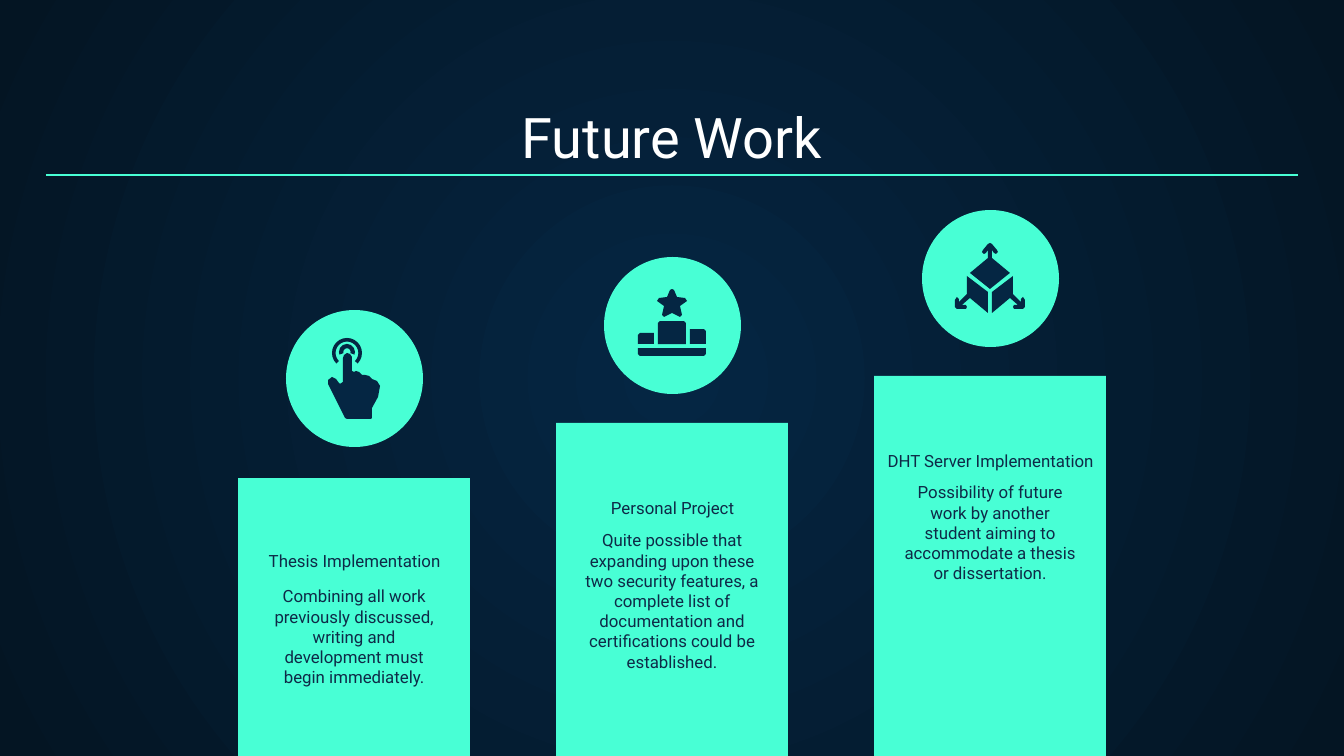
"""Build the Future Work slide: three rising bars, each topped by an icon."""
from dataclasses import dataclass

from lxml.etree import SubElement
from pptx import Presentation
from pptx.dml.color import RGBColor
from pptx.enum.shapes import MSO_CONNECTOR, MSO_SHAPE
from pptx.enum.text import MSO_ANCHOR, MSO_AUTO_SIZE, PP_ALIGN
from pptx.oxml.ns import qn
from pptx.util import Emu, Pt

RECT, OVAL, ARC = MSO_SHAPE.RECTANGLE, MSO_SHAPE.OVAL, MSO_SHAPE.BLOCK_ARC
LINE = MSO_CONNECTOR.STRAIGHT
TOP, BOTTOM = MSO_ANCHOR.TOP, MSO_ANCHOR.BOTTOM
FIXED, CENTER = MSO_AUTO_SIZE.NONE, PP_ALIGN.CENTER
SCALE = 914400 / 134.4
WIDE, HIGH = 1344, 756


@dataclass(frozen=True)
class Theme:
    """Colours, font and type sizes."""
    mint: str = "48FFD5"
    navy: str = "052643"
    night: str = "041523"
    ink: str = "0E2A47"
    white: str = "FFFFFF"
    font: str = "Roboto"
    head: float = 30
    text: float = 9
    rule: float = 0.75


def px(size):
    """Turn pixels into EMU."""
    return Emu(round(size * SCALE))


def rgb(code):
    """Turn a hex code into a colour."""
    return RGBColor.from_string(code)


def apply(target, values):
    """Set each named value on the target."""
    for name, value in values.items():
        setattr(target, name, value)


def mirror(half, both=True):
    """Reflect points in the upright axis, joined to the half if both."""
    other = [(-x, y) for x, y in reversed(half)]
    return half + other if both else other


class Deck:
    """Holds the theme and the current slide."""

    def __init__(self, theme):
        """Open a deck with one title-only slide."""
        self.theme = theme
        self.file = Presentation()
        apply(self.file, {"slide_width": px(WIDE), "slide_height": px(HIGH)})
        self.slide = self.file.slides.add_slide(self.file.slide_layouts[5])
        self.shapes = self.slide.shapes

    def ground(self):
        """Fill the background with a radial gradient."""
        fill = self.slide.background.fill
        fill.gradient()
        for stop, code in zip(fill.gradient_stops, (self.theme.navy, self.theme.night)):
            stop.color.rgb = rgb(code)
        node = self.slide.element.xpath(".//a:lin")[0]
        node.tag = qn("a:path")
        node.attrib.clear()
        node.set("path", "circle")
        SubElement(node, qn("a:fillToRect"), dict.fromkeys("ltrb", "50000"))

    def paint(self, shape, code):
        """Give a shape a flat fill with no line or shadow."""
        shape.fill.solid()
        shape.fill.fore_color.rgb = rgb(code)
        shape.line.fill.background()
        shape.shadow.inherit = False

    def block(self, kind, box, code, home=None, adjust=()):
        """Add a preset shape to the slide or to a group."""
        shape = (home or self.shapes).add_shape(kind, *map(px, box))
        for index, value in enumerate(adjust):
            shape.adjustments[index] = value
        self.paint(shape, code)

    def letter(self, shape, words, size, code, anchor):
        """Put centred words into a shape."""
        frame = shape.text_frame
        apply(frame, {"word_wrap": True, "auto_size": FIXED, "vertical_anchor": anchor,
                      **{f"margin_{side}": px(13) for side in ("left", "top", "right", "bottom")}})
        frame.text = words
        line = frame.paragraphs[0]
        line.alignment = CENTER
        font = line.runs[0].font
        apply(font, {"name": self.theme.font, "size": Pt(size)})
        font.color.rgb = rgb(code)

    def title(self, words, box):
        """Place and fill the title placeholder."""
        shape = self.shapes.title
        apply(shape, dict(zip(("left", "top", "width", "height"), map(px, box))))
        self.letter(shape, words, self.theme.head, self.theme.white, BOTTOM)

    def label(self, words, box, anchor):
        """Add a small text box."""
        shape = self.shapes.add_textbox(*map(px, box))
        self.letter(shape, words, self.theme.text, self.theme.ink, anchor)

    def rule(self, *ends):
        """Add a straight line."""
        line = self.shapes.add_connector(LINE, *map(px, ends))
        line.line.color.rgb = rgb(self.theme.mint)
        line.line.width = Pt(self.theme.rule)
        SubElement(line.element.spPr, qn("a:effectLst"))

    def icon(self, mid, top, forms, arcs):
        """Add a group of outlines and arcs placed from a circle's top."""
        home = self.shapes.add_group_shape().shapes
        for points in forms:
            pen = home.build_freeform(*points[0], scale=SCALE)
            pen.add_line_segments(points[1:], close=True)
            self.paint(pen.convert_to_shape(px(mid), px(top)), self.theme.navy)
        for x, y, size, start, end, thick in arcs:
            self.block(ARC, (mid + x, top + y, size, size), self.theme.navy, home,
                       (start * 0.6, end * 0.6, thick))

    def column(self, mid, bar, disc, body, head, words, forms, arcs=()):
        """Add a bar with its heading, text, disc and icon."""
        self.block(RECT, (mid - 116, bar, 232, 760 - bar), self.theme.mint)
        self.label(words, (mid - 102, body, 204, 74), TOP)
        self.label(head, (mid - 152, disc + 246, 305, 28), BOTTOM)
        self.block(OVAL, (mid - 68, disc, 137, 137), self.theme.mint)
        self.icon(mid, disc, forms, arcs)


HAND = [(-7, 43), (-10, 45), (-11, 48), (-11, 72), (-14, 74), (-15, 73), (-18, 69),
        (-22, 67), (-26, 70), (-26, 74), (-9, 108), (-7, 109), (17, 109), (18, 108),
        (18, 98), (24, 87), (26, 76), (23, 71), (18, 69), (15, 66), (11, 65), (8, 65),
        (5, 62), (2, 61), (0, 62), (-2, 61), (-2, 47), (-4, 44)]
RINGS = [(-22, 28, 30, 135, 45, 0.12), (-15, 34, 16, 160, 20, 0.27)]
STAR = mirror([(0, 32), (-2, 33), (-5, 40), (-13, 41), (-15, 44), (-8, 49),
               (-10, 58), (-8, 60), (0, 56)])
STEPS = [mirror([(-12, 64), (-14, 66), (-14, 87)]),
         [(18, 72), (32, 72), (34, 74), (34, 87), (18, 87)],
         [(-32, 76), (-18, 76), (-18, 87), (-34, 87), (-34, 78)],
         mirror([(-34, 91), (-34, 97), (-32, 99)])]
ROOF = mirror([(0, 33), (-2, 34), (-7, 40), (-8, 42), (-6, 44), (-4, 43),
               (-2, 40), (-2, 48), (-20, 63), (0, 79)])
SIDE = [(23, 66), (2, 82), (2, 103), (20, 88), (28, 95), (24, 95), (23, 97), (24, 99),
        (33, 99), (35, 97), (35, 90), (33, 87), (31, 89), (31, 92), (23, 84)]
COLUMNS = [
    (478, 310, 573, "Thesis Implementation",
     "Combining all work previously discussed, writing and development must begin immediately.",
     [HAND], RINGS),
    (423, 257, 517, "Personal Project",
     "Quite possible that expanding upon these two security features, a complete list of "
     "documentation and certifications could be established.", [STAR, *STEPS]),
    (376, 210, 469, "DHT Server Implementation",
     "Possibility of future work by another student aiming to accommodate a thesis or "
     "dissertation.", [ROOF, SIDE, mirror(SIDE, False)]),
]


def main():
    """Build and save the slide."""
    deck = Deck(Theme())
    deck.ground()
    deck.title("Future Work", (46, 94, 1252, 89))
    for index, column in enumerate(COLUMNS):
        deck.column(WIDE // 2 + (index - 1) * 318, *column)
    deck.rule(46, 175, 1298, 175)
    deck.file.save("out.pptx")


if __name__ == "__main__":
    main()
